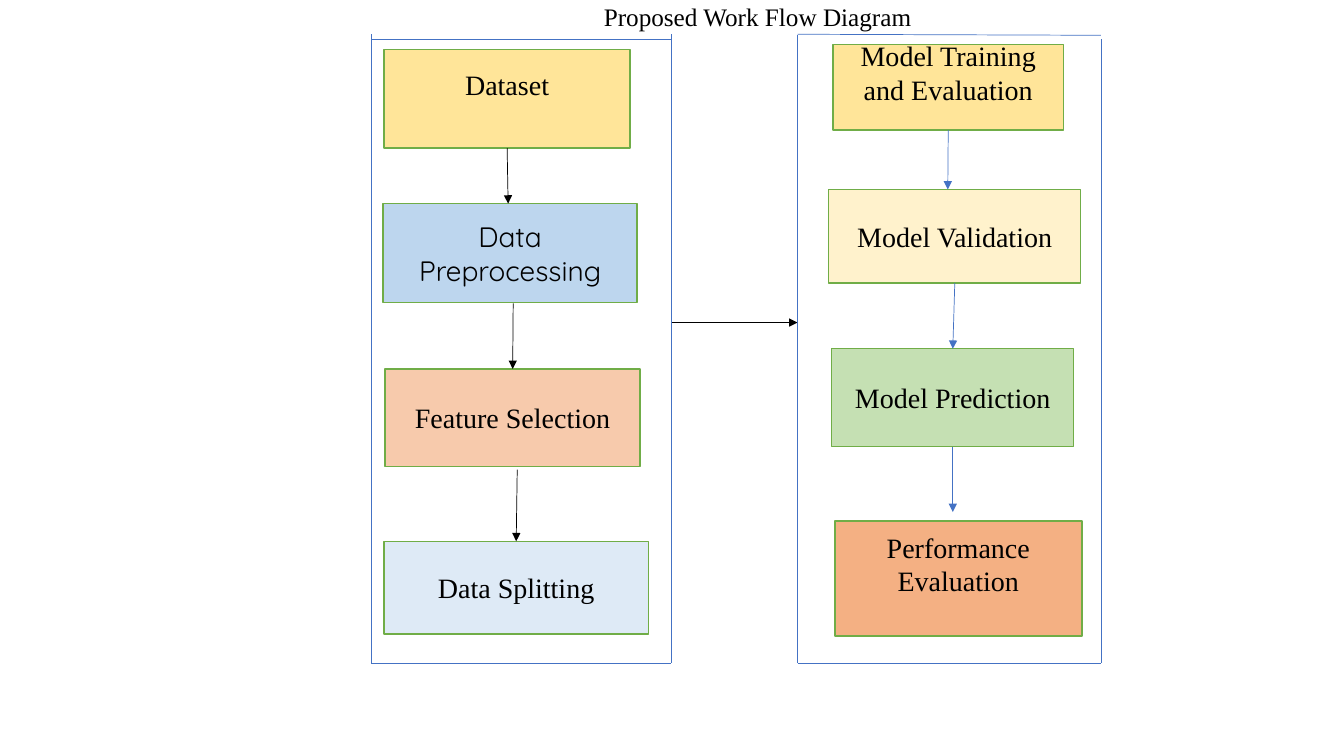
from lxml import etree
from pptx import Presentation
from pptx.dml.color import RGBColor
from pptx.enum.shapes import MSO_CONNECTOR, MSO_SHAPE
from pptx.enum.text import MSO_ANCHOR, PP_ALIGN
from pptx.oxml.ns import qn
from pptx.util import Pt

RECTANGLE = MSO_SHAPE.RECTANGLE
STRAIGHT = MSO_CONNECTOR.STRAIGHT
MIDDLE = MSO_ANCHOR.MIDDLE
CENTER = PP_ALIGN.CENTER

EMU_PER_PX = 9144  # 100 px to the inch
TOP, BOTTOM = 0, 2
SERIF, SANS = "Times New Roman", "Quicksand"
RAISED = 34  # bottom inset that lifts a label above the middle

BLACK = RGBColor(0x00, 0x00, 0x00)
BLUE = RGBColor(0x44, 0x72, 0xC4)
GREEN = RGBColor(0x70, 0xAD, 0x47)
YELLOW = RGBColor(0xFF, 0xE5, 0x99)
CREAM = RGBColor(0xFF, 0xF2, 0xCC)
SKY = RGBColor(0xBD, 0xD6, 0xEE)
PALE_SKY = RGBColor(0xDE, 0xEA, 0xF6)
PEACH = RGBColor(0xF7, 0xCA, 0xAC)
ORANGE = RGBColor(0xF4, 0xB0, 0x83)
LEAF = RGBColor(0xC5, 0xE0, 0xB3)


def px(length):
    return length * EMU_PER_PX


class Diagram:
    def __init__(self, page):
        self.page = page

    def label(self, para, text, size, font):
        para.text = text
        para.font.size = Pt(size)
        para.font.name = font
        para.font.color.rgb = BLACK

    def title(self, text, left, top, width, height):
        box = self.page.shapes.add_textbox(px(left), px(top), px(width), px(height))
        box.text_frame.word_wrap = True
        para = box.text_frame.paragraphs[0]
        self.label(para, text, 18, SERIF)
        para.line_spacing = 1.15
        para.space_after = Pt(10)

    def step(self, lines, left, top, width, height, fill, font=SERIF, inset=5):
        box = self.page.shapes.add_shape(
            RECTANGLE, px(left), px(top), px(width), px(height))
        box.shadow.inherit = False
        box.fill.solid()
        box.fill.fore_color.rgb = fill
        box.line.color.rgb = GREEN
        box.line.width = Pt(1)
        frame = box.text_frame
        frame.word_wrap = True
        frame.vertical_anchor = MIDDLE
        frame.margin_bottom = px(inset)
        for index, text in enumerate(lines):
            para = frame.add_paragraph() if index else frame.paragraphs[0]
            self.label(para, text, 20, font)
            para.alignment = CENTER
        return box

    def line(self, x1, y1, x2, y2, color=BLUE):
        line = self.page.shapes.add_connector(STRAIGHT, px(x1), px(y1), px(x2), px(y2))
        line.line.color.rgb = color
        line.line.width = Pt(0.5)
        etree.SubElement(line._element.spPr, qn("a:effectLst"))
        return line

    def arrow(self, x1, y1, x2, y2, color, source=None, target=None):
        arrow = self.line(x1, y1, x2, y2, color)
        outline = arrow._element.spPr.find(qn("a:ln"))
        etree.SubElement(outline, qn("a:tailEnd"), type="triangle")
        if source is not None:
            arrow.begin_connect(source, BOTTOM)
        if target is not None:
            arrow.end_connect(target, TOP)


def main():
    deck = Presentation()
    deck.slide_width, deck.slide_height = px(1333), px(750)
    diagram = Diagram(deck.slides.add_slide(deck.slide_layouts[6]))

    # Data preparation steps
    dataset = diagram.step(["Dataset"], 381, 49, 244, 98, YELLOW, inset=RAISED)
    diagram.step(["Data Preprocessing"], 380, 202, 252, 98, SKY, font=SANS)
    selection = diagram.step(["Feature Selection"], 382, 366, 253, 97, PEACH)
    splitting = diagram.step(["Data Splitting"], 381, 537, 262, 92, PALE_SKY)

    # Model steps
    training = diagram.step(["Model Training and Evaluation"],
                            826, 44, 229, 85, YELLOW, inset=RAISED)
    validation = diagram.step(["Model Validation"], 822, 188, 250, 93, CREAM)
    prediction = diagram.step(["Model Prediction"], 825, 346, 240, 97, LEAF)
    diagram.step(["Performance", "Evaluation"],
                 828, 517, 245, 114, ORANGE, inset=RAISED)

    # Arrows between the steps, joined where they meet the middle of a side
    diagram.arrow(504, 148, 504, 202, BLACK, source=dataset)
    diagram.arrow(509, 301, 508, 366, BLACK, target=selection)
    diagram.arrow(513, 466, 512, 537, BLACK, target=splitting)
    diagram.arrow(940, 129, 940, 188, BLUE, source=training)
    diagram.arrow(947, 281, 945, 346, BLUE, source=validation, target=prediction)
    diagram.arrow(945, 443, 945, 508, BLUE, source=prediction)

    # Arrow between the two groups
    diagram.arrow(667, 320, 791, 320, BLACK)

    # Group frames: top, left, right and bottom edges
    for edge in (
        (368, 39, 666, 39), (368, 34, 368, 658),
        (666, 34, 666, 658), (368, 658, 666, 658),
        (791, 34, 1092, 35), (791, 35, 791, 658),
        (1092, 39, 1092, 658), (791, 658, 1092, 658),
    ):
        diagram.line(*edge)

    # Title
    diagram.title("Proposed Work Flow Diagram", 589, -8, 704, 43)

    deck.save("out.pptx")


if __name__ == "__main__":
    main()
